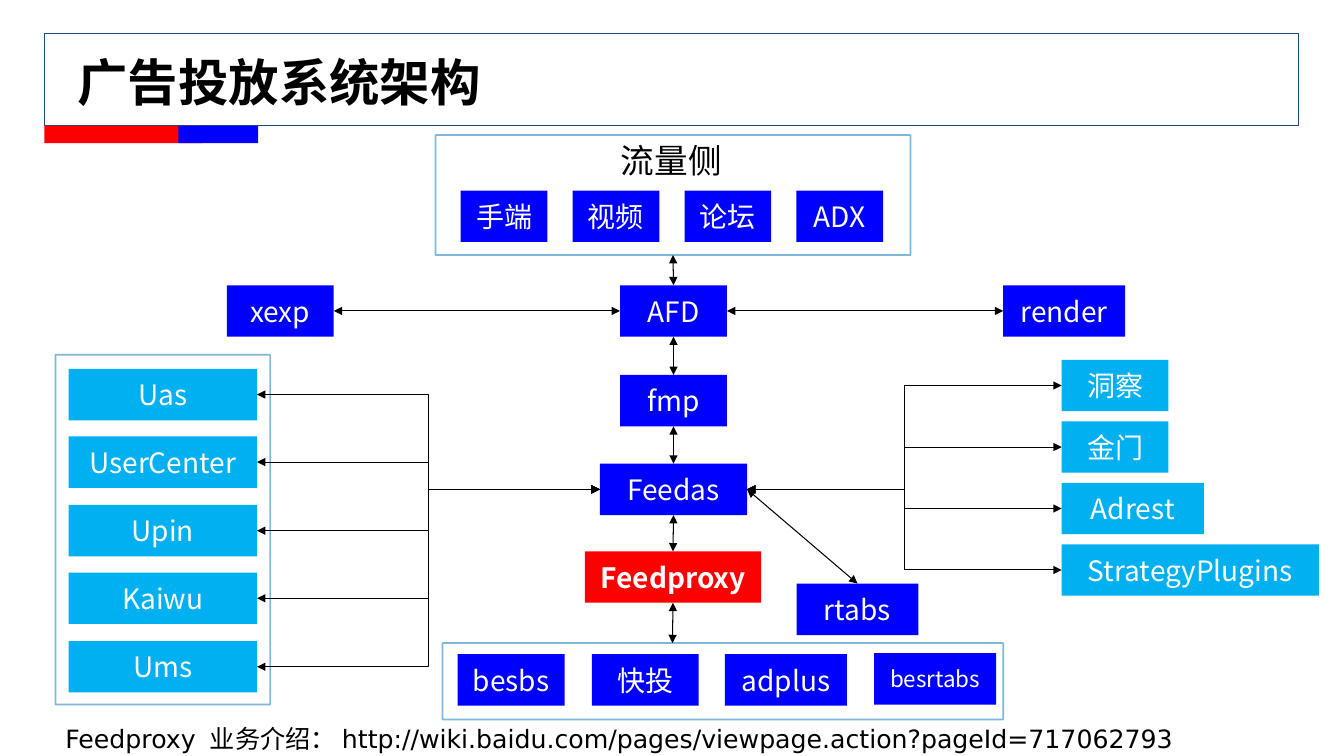
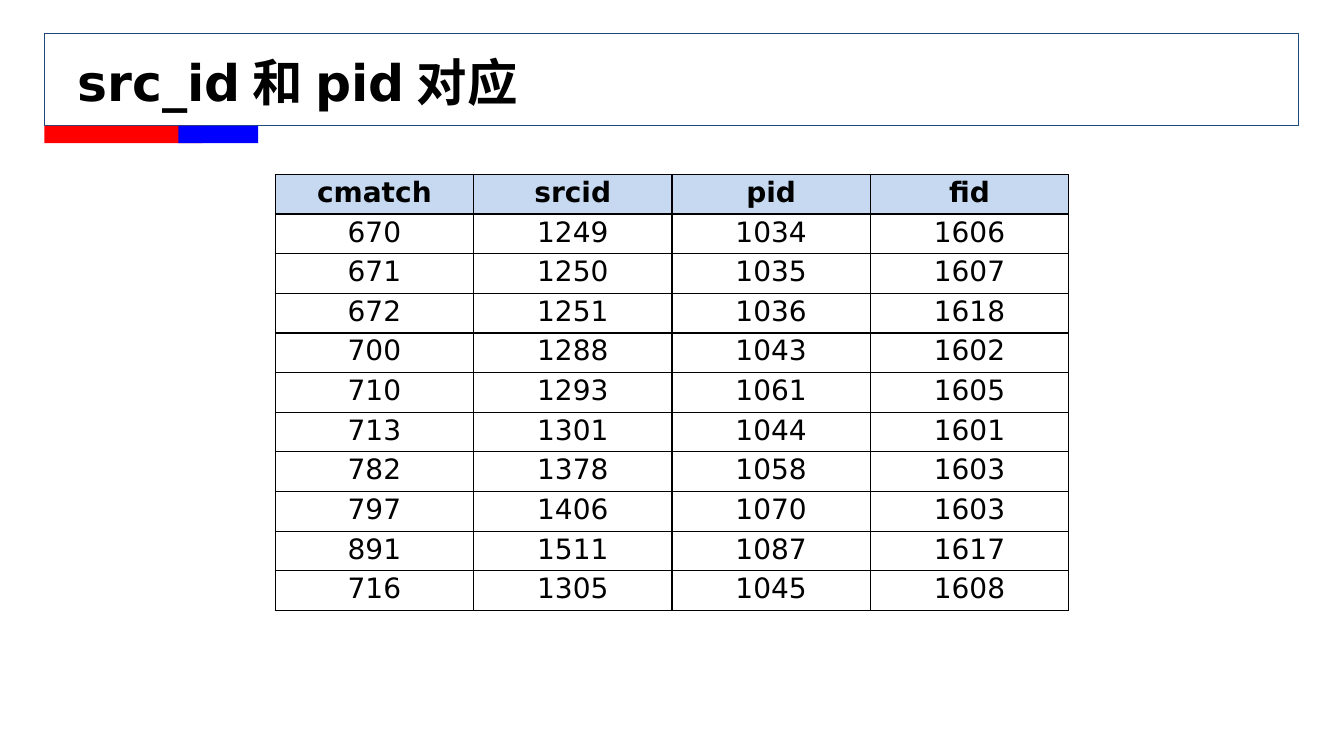
from lxml.etree import SubElement
from pptx import Presentation
from pptx.dml.color import RGBColor
from pptx.enum.shapes import MSO_CONNECTOR as LINE, MSO_SHAPE as SHAPE
from pptx.enum.text import MSO_ANCHOR as ANCHOR, PP_ALIGN as ALIGN
from pptx.oxml.ns import qn
from pptx.util import Pt

PX = 9144  # EMU in one px, 100 px to the inch
TOP, LEFT, BOTTOM, RIGHT = range(4)
COLOURS = {
    "ink": "000000", "white": "FFFFFF", "frame": "1F497D", "red": "FF0000",
    "blue": "0000FF", "sky": "00B0F0", "panel": "0070C0", "header": "C6D9F1",
}
RGB = {name: RGBColor.from_string(value) for name, value in COLOURS.items()}
LATIN, CJK = "DejaVu Sans", "Noto Sans CJK SC"
FORMATS = {
    "title": {"name": LATIN, "size": Pt(36), "bold": True},
    "panel": {"name": CJK, "size": Pt(24), "bold": False},
    "node": {"name": CJK, "size": Pt(20), "bold": False},
    "focus": {"name": CJK, "size": Pt(20), "bold": True},
    "small": {"name": CJK, "size": Pt(16), "bold": False},
    "note": {"name": LATIN, "size": Pt(18), "bold": False},
    "head": {"name": LATIN, "size": Pt(20), "bold": True},
    "body": {"name": LATIN, "size": Pt(20), "bold": False},
}


def add_box(slide, at, fill=None, line=None, width=0.75):
    box = slide.shapes.add_shape(SHAPE.RECTANGLE, *(PX * v for v in at))
    box.shadow.inherit = False
    if fill:
        box.fill.solid()
        box.fill.fore_color.rgb = RGB[fill]
    else:
        box.fill.background()
    if line:
        box.line.color.rgb = RGB[line]
        box.line.width = Pt(width)
    else:
        box.line.fill.background()
    return box


def write(frame, text, style, colour="ink", align=ALIGN.LEFT):
    frame.word_wrap = True
    paragraph = frame.paragraphs[0]
    paragraph.alignment = align
    run = paragraph.add_run()
    run.text = text
    run.font.color.rgb = RGB[colour]
    for key, value in FORMATS[style].items():
        setattr(run.font, key, value)
    SubElement(run._r.get_or_add_rPr(), qn("a:ea"), typeface=CJK)


prs = Presentation()
prs.slide_width, prs.slide_height = 1333 * PX, 750 * PX

# Title frame and colour bands on every slide
slides = []
for heading in ("广告投放系统架构", "src_id和pid对应"):
    slide = prs.slides.add_slide(prs.slide_layouts[6])
    add_box(slide, (44, 33, 1244, 92), line="frame")
    add_box(slide, (44, 125, 157, 17), "red")
    add_box(slide, (177, 125, 79, 17), "blue")
    title = slide.shapes.add_textbox(*(PX * v for v in (67, 38, 1200, 85)))
    title.text_frame.vertical_anchor = ANCHOR.MIDDLE
    write(title.text_frame, heading, "title")
    slides.append(slide)
architecture, mapping = slides

# Slide 1: group panels
panels = []
for at in ((432, 134, 471, 119), (55, 352, 213, 347), (439, 638, 556, 76)):
    panel = add_box(architecture, at, line="panel", width=1.25)
    panel_colour = panel._element.spPr.xpath("a:ln//a:srgbClr")[0]
    SubElement(panel_colour, qn("a:alpha"), val="50000")
    panels.append(panel)
traffic = panels[0]

# Slide 1: modules as name, left, top, width, fill, style
modules = [
    ("xexp", 225, 283, 106, "blue", "node"),
    ("AFD", 615, 283, 106, "blue", "node"),
    ("render", 995, 283, 121, "blue", "node"),
    ("fmp", 615, 372, 106, "blue", "node"),
    ("Feedas", 595, 460, 146, "blue", "node"),
    ("Feedproxy", 580, 547, 175, "red", "focus"),
    ("rtabs", 790, 579, 121, "blue", "node"),
    ("besbs", 454, 649, 106, "blue", "node"),
    ("快投", 587, 649, 106, "blue", "node"),
    ("adplus", 719, 649, 121, "blue", "node"),
    ("besrtabs", 867, 648, 121, "blue", "small"),
]
channels = ("手端", "视频", "论坛", "ADX")
user_services = ("Uas", "UserCenter", "Upin", "Kaiwu", "Ums")
strategies = {"洞察": 106, "金门": 106, "Adrest": 141, "StrategyPlugins": 255}
for i, name in enumerate(channels):
    modules.append((name, 457 + 111 * i, 189, 86, "blue", "node"))
for i, name in enumerate(user_services):
    modules.append((name, 68, 366 + 135 * i // 2, 187, "sky", "node"))
for i, (name, width) in enumerate(strategies.items()):
    modules.append((name, 1053, 357 + 61 * i, width, "sky", "node"))

nodes = {}
for name, left, top, width, fill, style in modules:
    node = add_box(architecture, (left, top, width, 51), fill)
    frame = node.text_frame
    frame.margin_left = frame.margin_right = 0
    frame.vertical_anchor = ANCHOR.MIDDLE
    write(frame, name, style, "white", ALIGN.CENTER)
    nodes[name] = node

# Slide 1: two-way arrows as kind, start, side, end, side
feedas, feedproxy = nodes["Feedas"], nodes["Feedproxy"]
links = [
    (LINE.STRAIGHT, traffic, BOTTOM, nodes["AFD"], TOP),
    (LINE.STRAIGHT, nodes["AFD"], LEFT, nodes["xexp"], RIGHT),
    (LINE.STRAIGHT, nodes["render"], LEFT, nodes["AFD"], RIGHT),
    (LINE.STRAIGHT, nodes["fmp"], TOP, nodes["AFD"], BOTTOM),
    (LINE.STRAIGHT, feedas, TOP, nodes["fmp"], BOTTOM),
    (LINE.STRAIGHT, feedproxy, TOP, feedas, BOTTOM),
    (LINE.STRAIGHT, feedproxy, BOTTOM, None, None),
    (LINE.STRAIGHT, nodes["rtabs"], TOP, feedas, RIGHT),
]
links += [(LINE.ELBOW, feedas, LEFT, nodes[n], RIGHT) for n in user_services]
links += [(LINE.ELBOW, nodes[n], LEFT, feedas, RIGHT) for n in strategies]
for kind, start, start_side, end, end_side in links:
    # The free end rests on the top edge of the lower panel
    arrow = architecture.shapes.add_connector(
        kind, 667 * PX, 598 * PX, 667 * PX, 638 * PX)
    arrow.begin_connect(start, start_side)
    if end is not None:
        arrow.end_connect(end, end_side)
    arrow.line.color.rgb = RGB["ink"]
    arrow.line.width = Pt(0.75)
    properties = arrow._element.spPr
    outline = properties.find(qn("a:ln"))
    for tip in ("a:headEnd", "a:tailEnd"):
        SubElement(outline, qn(tip), type="triangle")
    SubElement(properties, qn("a:effectLst"))

# Slide 1: panel heading and reference
for text, at, style in (
    ("流量侧", (606, 134, 146, 50), "panel"),
    ("Feedproxy 业务介绍：http://wiki.baidu.com/pages/viewpage.action?pageId=717062793",
     (55, 713, 1208, 37), "note"),
):
    label = architecture.shapes.add_textbox(*(PX * v for v in at))
    write(label.text_frame, text, style)

# Slide 2: id table
rows = [
    ("cmatch", "srcid", "pid", "fid"),
    (670, 1249, 1034, 1606),
    (671, 1250, 1035, 1607),
    (672, 1251, 1036, 1618),
    (700, 1288, 1043, 1602),
    (710, 1293, 1061, 1605),
    (713, 1301, 1044, 1601),
    (782, 1378, 1058, 1603),
    (797, 1406, 1070, 1603),
    (891, 1511, 1087, 1617),
    (716, 1305, 1045, 1608),
]
ids = mapping.shapes.add_table(
    len(rows), len(rows[0]), *(PX * v for v in (273, 173, 787, 433))).table
for r, row in enumerate(rows):
    for c, value in enumerate(row):
        cell = ids.cell(r, c)
        cell.margin_left = cell.margin_right = 3 * PX
        cell.margin_top = cell.margin_bottom = 2 * PX
        for side in ("a:lnL", "a:lnR", "a:lnT", "a:lnB"):
            border = SubElement(cell._tc.get_or_add_tcPr(), qn(side), w=str(Pt(1)))
            paint = SubElement(border, qn("a:solidFill"))
            SubElement(paint, qn("a:srgbClr"), val=COLOURS["ink"])
        if r == 0:
            cell.fill.solid()
            cell.fill.fore_color.rgb = RGB["header"]
        else:
            cell.fill.background()
        write(cell.text_frame, str(value), "body" if r else "head", align=ALIGN.CENTER)

prs.save("out.pptx")
